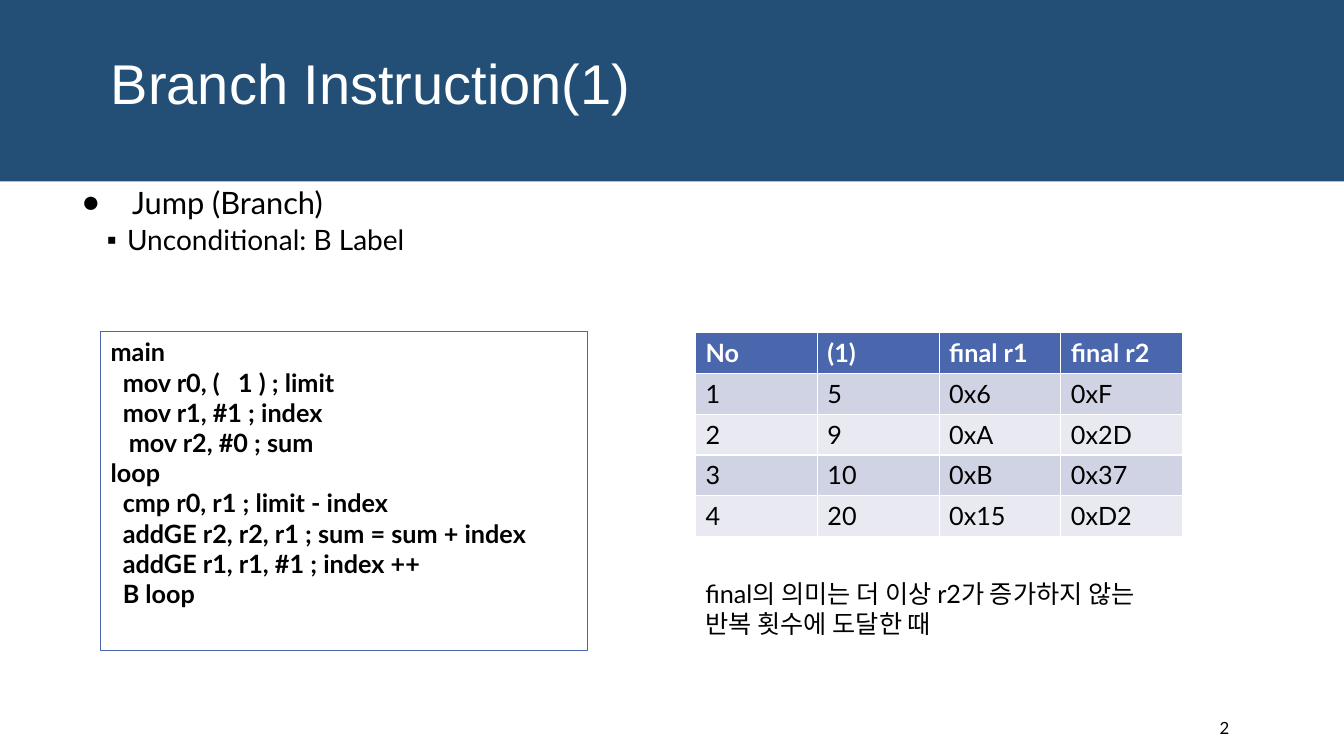
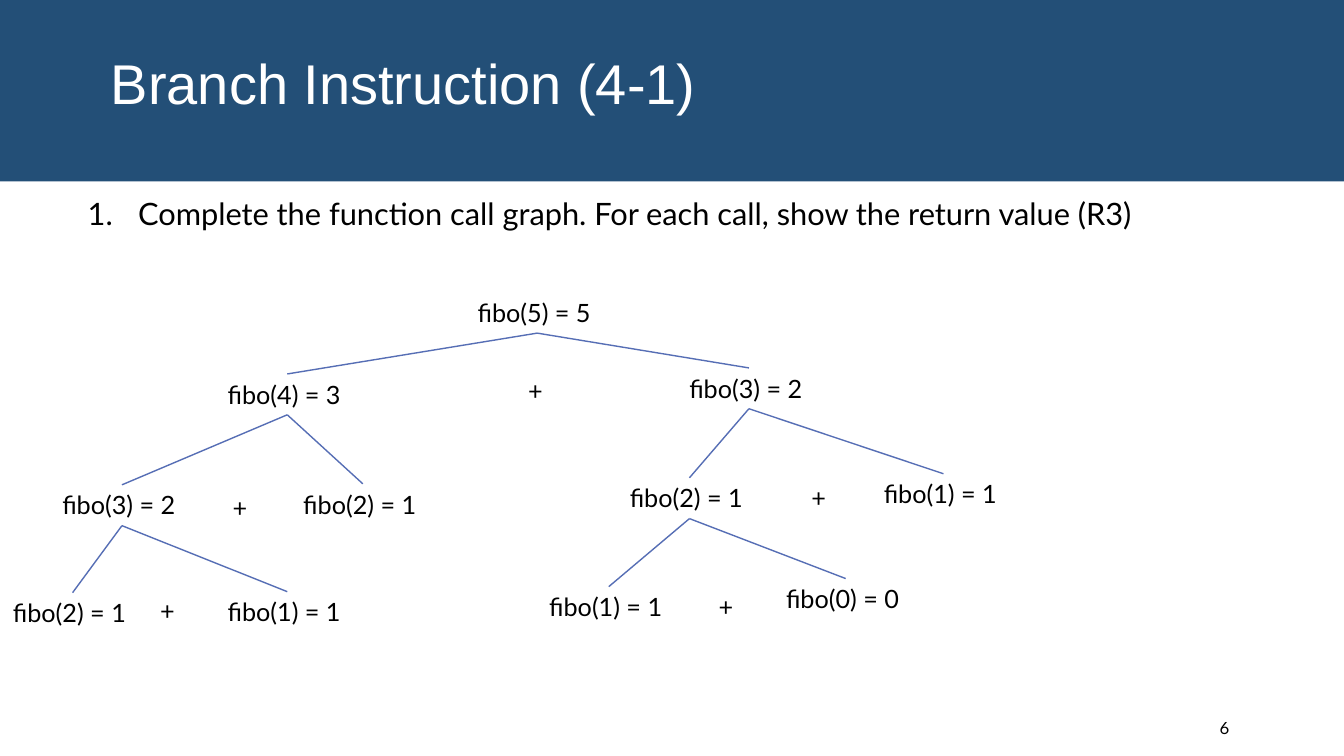
from dataclasses import dataclass

from lxml import etree
from pptx import Presentation
from pptx import util as u
from pptx.dml.color import RGBColor
from pptx.enum import shapes, text
from pptx.oxml.ns import qn


@dataclass(frozen=True)
class Theme:
    band: RGBColor = RGBColor.from_string("234F77")
    accent: RGBColor = RGBColor.from_string("4A66AC")
    branch: RGBColor = RGBColor.from_string("566EB5")
    stripes: tuple = (RGBColor.from_string("E9EAF1"), RGBColor.from_string("D0D3E3"))
    white: RGBColor = RGBColor.from_string("FFFFFF")
    black: RGBColor = RGBColor.from_string("000000")
    title_font: str = "Arial"
    text_font: str = "Lato"
    title_size: int = 40
    list_size: int = 22
    sublist_size: int = 20
    text_size: int = 18
    number_size: int = 12


theme = Theme()
presentation = Presentation()
presentation.slide_width = u.Inches(13.33)
presentation.slide_height = u.Inches(7.5)

# Grid: 40 columns by 30 rows
COLUMN = presentation.slide_width / 40
ROW = presentation.slide_height / 30


def grid(left, top, width, height):
    """Turn columns and rows into lengths."""
    return [round(n * step) for n, step in zip((left, top, width, height), (COLUMN, ROW) * 2)]


def write(frame, lines, size=theme.text_size, color=theme.black, name=theme.text_font,
          bold=False, frame_format=None, **paragraph_format):
    """Fill a text frame, one paragraph a line, and return the paragraphs."""
    for key, value in (frame_format or {}).items():
        setattr(frame, key, value)
    for index, line in enumerate(lines):
        paragraph = frame.add_paragraph() if index else frame.paragraphs[0]
        run = paragraph.add_run()
        run.text = line
        font_format = {"size": u.Pt(size), "name": name, "bold": bold}
        for key, value in font_format.items():
            setattr(run.font, key, value)
        run.font.color.rgb = color
        for key, value in {"alignment": text.PP_ALIGN.LEFT, **paragraph_format}.items():
            setattr(paragraph, key, value)
    return frame.paragraphs


FIXED = {"word_wrap": True, "auto_size": text.MSO_AUTO_SIZE.NONE}
MIDDLE = {**FIXED, "vertical_anchor": text.MSO_ANCHOR.MIDDLE}
TOP = {**FIXED, "vertical_anchor": text.MSO_ANCHOR.TOP}
NUMBER = {**MIDDLE, "margin_left": u.Inches(0.05)}
LABEL = {"word_wrap": False, "auto_size": text.MSO_AUTO_SIZE.SHAPE_TO_FIT_TEXT}

# List levels: size, left margin, hanging indent, space before and after, bullet
LEVELS = [
    (theme.list_size, 0.5, -0.5, 12, 2),
    (theme.sublist_size, 0.45, -0.2, 2, 4),
]

# Title, page number, list area, list items as (text, bullet tag, bullet attributes)
pages = [
    ("Branch Instruction(1)", "2", (2.13, 7.24, 34, 6.6), [
        ("Jump (Branch)", "a:buChar", {"char": "●"}),
        ("Unconditional: B Label", "a:buChar", {"char": "▪"}),
    ]),
    ("Branch Instruction (4-1)", "6", (2.31, 7.68, 36.93, 2.24), [
        ("Complete the function call graph. For each call, show the return value (R3)",
         "a:buAutoNum", {"type": "arabicPeriod"}),
    ]),
]

# Titles, lists and page numbers
layout = presentation.slide_layouts[1]
layout_title = layout.placeholders[0]
(layout_title.left, layout_title.top,
 layout_title.width, layout_title.height) = grid(3, 1.24, 34, 4.44)

for title, number, area, items in pages:
    slide = presentation.slides.add_slide(layout)
    write(slide.shapes.title.text_frame, [title], theme.title_size, theme.white,
          theme.title_font, frame_format=MIDDLE, line_spacing=0.85)

    body = slide.placeholders[1]
    body.left, body.top, body.width, body.height = grid(*area)
    paragraphs = write(body.text_frame, [item[0] for item in items],
                       frame_format=TOP, line_spacing=0.9)
    for level, (paragraph, (_, tag, attributes)) in enumerate(zip(paragraphs, items)):
        size, margin, indent, before, after = LEVELS[level]
        paragraph.runs[0].font.size = u.Pt(size)
        paragraph_format = {"level": level, "space_before": u.Pt(before),
                            "space_after": u.Pt(after)}
        for key, value in paragraph_format.items():
            setattr(paragraph, key, value)
        properties = paragraph._p.get_or_add_pPr()
        properties.set("marL", str(u.Inches(margin)))
        properties.set("indent", str(u.Inches(indent)))
        bullet_color = etree.SubElement(properties, qn("a:buClr"))
        etree.SubElement(bullet_color, qn("a:srgbClr"), val=str(theme.black))
        etree.SubElement(properties, qn(tag), attributes)

    number_box = slide.shapes.add_textbox(*grid(36.15, 28.08, 3.1, 1.6))
    write(number_box.text_frame, [number], theme.number_size, frame_format=NUMBER)

code_slide, tree_slide = presentation.slides

# Title band, moved to the master so that every slide shows it
band = code_slide.shapes.add_shape(shapes.MSO_SHAPE.RECTANGLE, *grid(0, 0, 40, 7.2))
band.shadow.inherit = False
band.fill.solid()
band.fill.fore_color.rgb = theme.band
band.line.fill.background()
master_tree = presentation.slide_master.placeholders[0].element.getparent()
master_tree.insert(2, band.element)

# Code listing: indent in characters, text
code = [
    (0, "main"),
    (2, "mov r0, (   1 ) ; limit"),
    (2, "mov r1, #1 ; index"),
    (3, "mov r2, #0 ; sum"),
    (0, "loop"),
    (2, "cmp r0, r1 ; limit - index"),
    (2, "addGE r2, r2, r1 ; sum = sum + index"),
    (2, "addGE r1, r1, #1 ; index ++"),
    (2, "B loop"),
]
code_box = code_slide.shapes.add_shape(shapes.MSO_SHAPE.RECTANGLE,
                                       *grid(3, 13.16, 14.5, 12.64))
code_box.shadow.inherit = False
code_box.fill.solid()
code_box.fill.fore_color.rgb = theme.white
code_box.line.color.rgb = theme.accent
code_box.line.width = u.Pt(0.75)
paragraphs = write(code_box.text_frame, [line for _, line in code], bold=True,
                   frame_format=TOP)
for paragraph, (characters, _) in zip(paragraphs, code):
    paragraph._p.get_or_add_pPr().set("marL", str(u.Inches(0.06 * characters)))

# Result table
results = [
    ("No", "(1)", "final r1", "final r2"),
    ("1", "5", "0x6", "0xF"),
    ("2", "9", "0xA", "0x2D"),
    ("3", "10", "0xB", "0x37"),
    ("4", "20", "0x15", "0xD2"),
]
table = code_slide.shapes.add_table(len(results), len(results[0]),
                                    *grid(20.7, 13.2, 14.5, 8.1)).table
for row_index, values in enumerate(results):
    header = row_index == 0
    for column_index, value in enumerate(values):
        cell = table.cell(row_index, column_index)
        cell.fill.solid()
        cell.fill.fore_color.rgb = theme.accent if header else theme.stripes[row_index % 2]
        write(cell.text_frame, [value], bold=header,
              color=theme.white if header else theme.black)

# Note under the table
note = code_slide.shapes.add_textbox(*grid(20.7, 22.76, 15.06, 2.84))
write(note.text_frame, ["final의 의미는 더 이상 r2가 증가하지 않는", "반복 횟수에 도달한 때"],
      frame_format=FIXED)

# Call graph: each call is named by its way down from the root
calls = {
    "root": ("fibo(5) = 5", 13.92, 11.6),
    "L": ("fibo(4) = 3", 6.48, 14.84),
    "R": ("fibo(3) = 2", 20.22, 14.6),
    "LL": ("fibo(3) = 2", 1.56, 19.24),
    "LR": ("fibo(2) = 1", 8.73, 19.2),
    "RL": ("fibo(2) = 1", 18.45, 18.96),
    "RR": ("fibo(1) = 1", 26.01, 18.8),
    "LLL": ("fibo(2) = 1", 0.09, 23.52),
    "LLR": ("fibo(1) = 1", 6.48, 23.48),
    "RLL": ("fibo(1) = 1", 16.05, 23.28),
    "RLR": ("fibo(0) = 0", 23.1, 22.96),
}
call_boxes = {}
for way, (label, left, top) in calls.items():
    call_box = tree_slide.shapes.add_textbox(*grid(left, top, 4.14, 1.62))
    write(call_box.text_frame, [label], frame_format=LABEL)
    call_boxes[way] = call_box

# Plus signs between sibling calls
for left, top in [(15.42, 14.68), (23.85, 18.96), (6.63, 19.32), (4.47, 23.44), (21.09, 23.28)]:
    plus = tree_slide.shapes.add_textbox(*grid(left, top, 1.02, 1.62))
    write(plus.text_frame, ["+"], frame_format=LABEL)

# Branches from the bottom of a call to the top of each call below it
for way, call_box in call_boxes.items():
    if way == "root":
        continue
    branch = tree_slide.shapes.add_connector(shapes.MSO_CONNECTOR.STRAIGHT, 0, 0, 0, 0)
    branch.begin_connect(call_boxes[way[:-1] or "root"], 2)
    branch.end_connect(call_box, 0)
    branch.line.color.rgb = theme.branch
    branch.line.width = u.Pt(1)
    etree.SubElement(branch.element.spPr, qn("a:effectLst"))

presentation.save("out.pptx")
